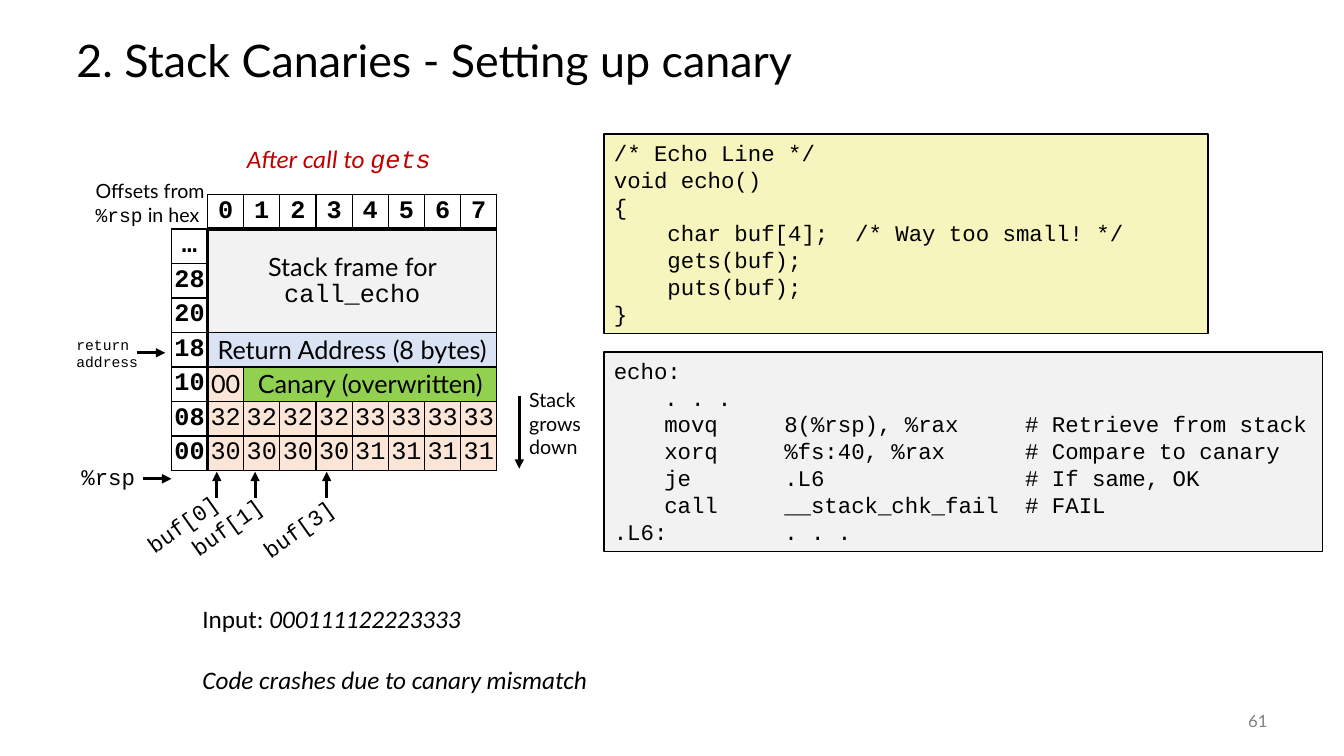
from dataclasses import dataclass

from lxml.etree import SubElement
from pptx import Presentation
from pptx.dml.color import RGBColor
from pptx.enum.shapes import MSO_CONNECTOR, MSO_SHAPE
from pptx.enum.text import MSO_ANCHOR, PP_ALIGN
from pptx.oxml.ns import qn
from pptx.util import Inches, Pt

COLORS = {
    "black": "000000", "red": "C00000", "gray": "808080",
    "code": "F6F5BD", "pale": "F2F2F2", "address": "DAE3F3",
    "buffer": "FBE5D6", "canary": "92D050",
}
SANS, BODY, MONO = "Lato", "Calibri", "Courier New"
THIN, THICK = 1, 3


@dataclass(frozen=True)
class Span:
    text: str
    font: str
    italic: bool = False


@dataclass(frozen=True)
class Label:
    """Lines hold text, or spans where the font changes within a line."""
    at: tuple[float, float, float, float]
    lines: tuple[str | tuple[Span, ...], ...]
    size: float
    font: str = SANS
    color: str = "black"
    wrap: bool = False
    middle: bool = False
    align: PP_ALIGN = PP_ALIGN.LEFT
    rotation: float = 0
    line_spacing: float | None = None
    gap: float = 0


@dataclass(frozen=True)
class CodePanel:
    at: tuple[float, float, float, float]
    fill: str
    lines: tuple[str, ...]
    tabs: tuple[float, ...] = ()


@dataclass(frozen=True)
class Arrow:
    start: tuple[float, float]
    end: tuple[float, float]


@dataclass(frozen=True)
class Block:
    """Text in the stack grid, covering one or more cells."""
    row: int
    column: int
    spans: tuple[Span, ...]
    fill: str | None = None
    bold: bool = False
    rows: int = 1
    columns: int = 1


LABELS = (
    Label((0.66, 0.25, 12, 0.75), ("2. Stack Canaries - Setting up canary",), 32,
          wrap=True, middle=True, line_spacing=0.9),
    Label((11.67, 6.95, 1, 0.4), ("61",), 12, color="gray", wrap=True, middle=True,
          align=PP_ALIGN.RIGHT),
    Label((2.35, 1.37, 2.09, 0.4),
          ((Span("After call to ", BODY, True), Span("gets", MONO, True)),), 18, color="red"),
    Label((0.85, 1.73, 1.77, 0.57),
          ((Span("Offsets from ", SANS), Span("%rsp", MONO), Span(" in hex", SANS)),), 14,
          wrap=True),
    Label((0.66, 3.28, 0.82, 0.45), ("return", "address"), 10.5, MONO),
    Label((0.71, 4.55, 0.74, 0.37), ("%rsp",), 16, MONO),
    Label((5.15, 3.8, 0.79, 0.81), ("Stack grows down",), 14, wrap=True),
    Label((1.91, 5.94, 4.06, 1.01),
          ((Span("Input: ", BODY), Span("000111122223333", BODY, True)),
           (Span("Code crashes due to canary mismatch", BODY, True),)), 18, gap=22),
    *(Label((left, top, 1.01, 0.37), (f"buf[{index}]",), 16, MONO, rotation=324.6)
      for index, left, top in ((0, 1.31, 5.01), (1, 1.75, 5.04), (3, 2.46, 5.06))),
)

PANELS = (
    CodePanel((5.99, 1.33, 5.99, 1.98), "code", (
        "/* Echo Line */",
        "void echo()",
        "{",
        "    char buf[4];  /* Way too small! */",
        "    gets(buf);",
        "    puts(buf);",
        "}")),
    CodePanel((5.99, 3.49, 7.13, 1.98), "pale", (
        "echo:",
        "\t. . .",
        "\tmovq\t8(%rsp), %rax\t# Retrieve from stack",
        "\txorq\t%fs:40, %rax\t# Compare to canary",
        "\tje\t.L6\t# If same, OK",
        "\tcall\t__stack_chk_fail\t# FAIL",
        ".L6:\t. . ."), (0.5, 1.69, 4.08)),
)

ARROWS = (
    Arrow((1.36, 3.5), (1.64, 3.5)),
    Arrow((1.42, 4.75), (1.7, 4.75)),
    Arrow((5.15, 3.93), (5.15, 4.65)),
    *(Arrow((x, 4.94), (x, 4.68)) for x in (2.15, 2.53, 3.24)),
)

OFFSETS = ("…", "28", "20", "18", "10", "08", "00")
BUFFER_BYTES = {6: "32 32 32 32 33 33 33 33", 7: "30 30 30 30 31 31 31 31"}
BLOCKS = (
    *(Block(0, column, (Span(str(column - 1), MONO),), bold=True) for column in range(1, 9)),
    *(Block(row, 0, (Span(offset, MONO),), bold=True) for row, offset in enumerate(OFFSETS, 1)),
    Block(1, 1, (Span("Stack frame for ", SANS), Span("call_echo", MONO)), "pale",
          rows=3, columns=8),
    Block(4, 1, (Span("Return Address (8 bytes)", SANS),), "address", columns=8),
    Block(5, 1, (Span("00", SANS),), "buffer"),
    Block(5, 2, (Span("Canary (overwritten)", SANS),), "canary", columns=7),
    *(Block(row, column, (Span(value, MONO),), "buffer")
      for row, values in BUFFER_BYTES.items()
      for column, value in enumerate(values.split(), 1)),
)


def color(name: str) -> RGBColor:
    return RGBColor.from_string(COLORS[name])


def write_line(para, line, size: float, font: str, tint: str = "black", bold: bool = False) -> None:
    spans = (Span(line, font),) if isinstance(line, str) else line
    para.font.size, para.font.bold = Pt(size), bold
    para.font.color.rgb = color(tint)
    uniform = len({(span.font, span.italic) for span in spans}) == 1
    if uniform:
        para.font.name, para.font.italic = spans[0].font, spans[0].italic
    for span in spans:
        run = para.add_run()
        run.text = span.text
        if not uniform:
            run.font.name, run.font.italic = span.font, span.italic


def add_paragraphs(frame, count: int) -> list:
    return [frame.paragraphs[0], *(frame.add_paragraph() for _ in range(count - 1))]


def draw_label(page, label: Label) -> None:
    box = page.shapes.add_textbox(*map(Inches, label.at))
    box.rotation = label.rotation
    frame = box.text_frame
    frame.word_wrap = label.wrap
    frame.vertical_anchor = MSO_ANCHOR.MIDDLE if label.middle else MSO_ANCHOR.TOP
    for index, para in enumerate(add_paragraphs(frame, len(label.lines))):
        para.alignment = label.align
        para.line_spacing = label.line_spacing
        if index and label.gap:
            para.space_before = Pt(label.gap)
        write_line(para, label.lines[index], label.size, label.font, label.color)


def draw_panel(page, panel: CodePanel) -> None:
    box = page.shapes.add_shape(MSO_SHAPE.RECTANGLE, *map(Inches, panel.at))
    box.shadow.inherit = False
    box.fill.solid()
    box.fill.fore_color.rgb = color(panel.fill)
    box.line.color.rgb = color("black")
    box.line.width = Pt(THIN)
    frame = box.text_frame
    frame.word_wrap = True
    frame.vertical_anchor = MSO_ANCHOR.TOP
    for para, line in zip(add_paragraphs(frame, len(panel.lines)), panel.lines):
        para.alignment = PP_ALIGN.LEFT
        if panel.tabs:
            stops = SubElement(para._p.get_or_add_pPr(), qn("a:tabLst"))
            for stop in panel.tabs:
                SubElement(stops, qn("a:tab"), pos=str(Inches(stop)), algn="l")
        write_line(para, line, 16, MONO)


def draw_arrow(page, arrow: Arrow) -> None:
    connector = page.shapes.add_connector(
        MSO_CONNECTOR.STRAIGHT, *map(Inches, arrow.start + arrow.end))
    connector.line.color.rgb = color("black")
    connector.line.width = Pt(2.25)
    SubElement(connector.line._get_or_add_ln(), qn("a:tailEnd"), type="triangle")
    SubElement(connector._element.spPr, qn("a:effectLst"))


def draw_borders(cell, row: int, column: int) -> None:
    """Thick lines part the header row and the offset column from the stack."""
    widths = {
        "L": THICK if row and column == 1 else THIN,
        "R": THICK if row and column == 0 else THIN,
        "T": THICK if column and row == 1 else THIN,
        "B": THICK if column and row == 0 else THIN,
    }
    for side, width in widths.items():
        if row == column == 0 and side in "LT":
            continue
        line = SubElement(cell._tc.get_or_add_tcPr(), qn(f"a:ln{side}"), w=str(Pt(width)))
        SubElement(SubElement(line, qn("a:solidFill")), qn("a:srgbClr"), val=COLORS["black"])


def draw_stack(page) -> None:
    rows, columns = 8, 9
    table = page.shapes.add_table(
        rows, columns, *map(Inches, (1.7, 1.93, 3.23, 2.74))).table
    table.first_row = table.horz_banding = False
    for row in range(rows):
        for column in range(columns):
            cell = table.cell(row, column)
            cell.margin_left = cell.margin_right = cell.margin_top = cell.margin_bottom = 0
            cell.vertical_anchor = MSO_ANCHOR.MIDDLE
            draw_borders(cell, row, column)
            cell.fill.background()
    for block in BLOCKS:
        cell = table.cell(block.row, block.column)
        if block.rows * block.columns > 1:
            cell.merge(table.cell(block.row + block.rows - 1, block.column + block.columns - 1))
        if block.fill:
            cell.fill.solid()
            cell.fill.fore_color.rgb = color(block.fill)
        para = cell.text_frame.paragraphs[0]
        para.alignment = PP_ALIGN.CENTER
        write_line(para, block.spans, 18, MONO, bold=block.bold)


def main() -> None:
    deck = Presentation()
    deck.slide_width, deck.slide_height = Inches(13.33), Inches(7.5)
    page = deck.slides.add_slide(deck.slide_layouts[6])
    for panel in PANELS:
        draw_panel(page, panel)
    draw_stack(page)
    for label in LABELS:
        draw_label(page, label)
    for arrow in ARROWS:
        draw_arrow(page, arrow)
    deck.save("out.pptx")


if __name__ == "__main__":
    main()
